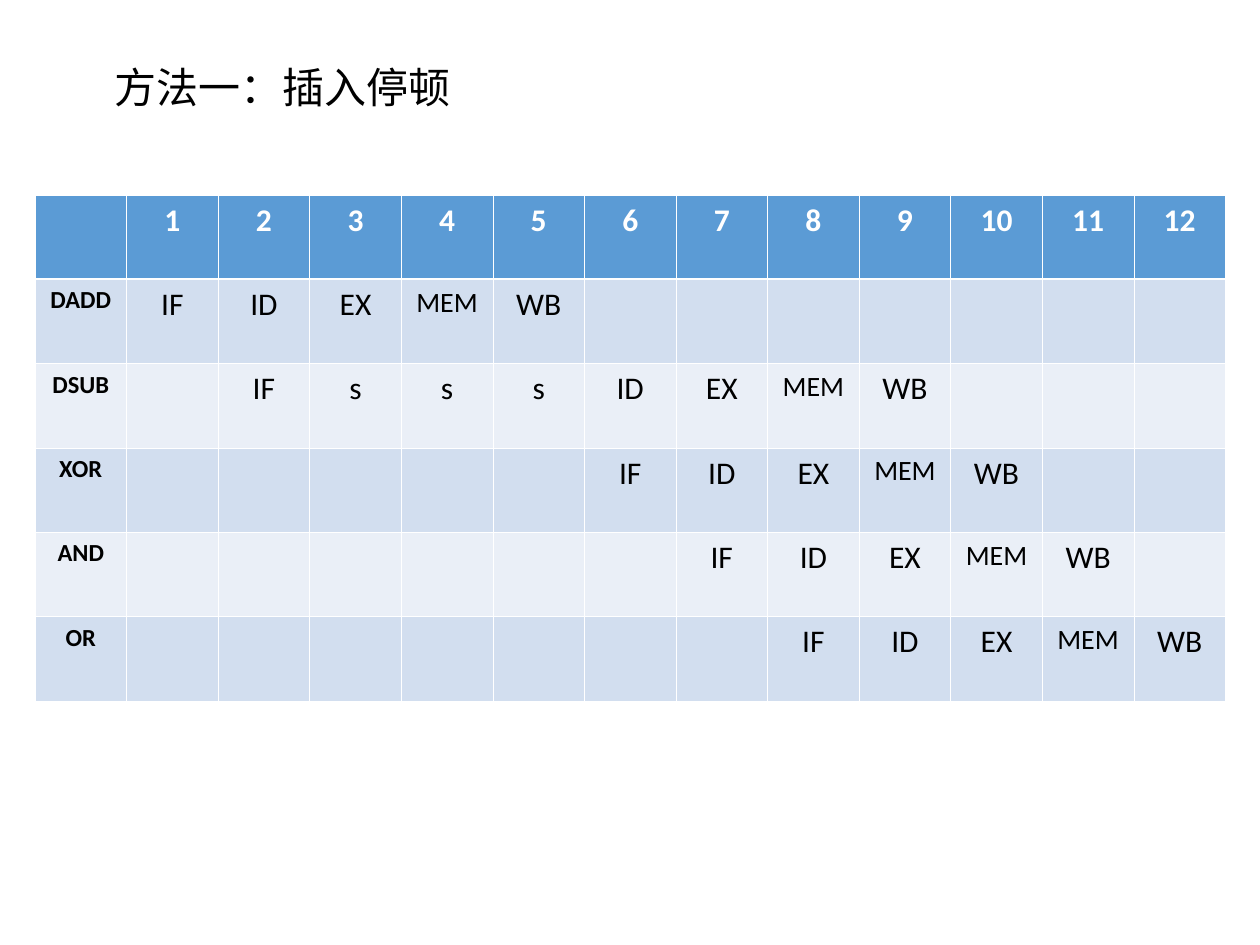
from lxml import etree
from pptx import Presentation, util as u
from pptx.dml.color import RGBColor
from pptx.enum import text
from pptx.oxml.ns import qn

PX = 914400 / 126
COLORS = {"ink": "000000", "paper": "FFFFFF", "header": "5B9BD5",
          "odd": "D2DEEF", "even": "EAEFF7"}
STAGES = ["IF", "ID", "EX", "MEM", "WB"]
CYCLES = 12
STALLED = ["IF", "s", "s", "s", *STAGES[1:]]
# Instruction, cycle in which it starts, stages it passes through
PIPELINE = [("DADD", 1, STAGES), ("DSUB", 2, STALLED), ("XOR", 6, STAGES),
            ("AND", 7, STAGES), ("OR", 8, STAGES)]


def px(value):
    return u.Emu(round(value * PX))


def color(name):
    return RGBColor.from_string(COLORS[name])


def write(para, words, size, ink="ink", bold=False):
    span = para.add_run()
    span.text = words
    for key, value in {"name": "Calibri", "size": u.Pt(size), "bold": bold}.items():
        setattr(span.font, key, value)
    span.font.color.rgb = color(ink)


def add_title(page, left, top, width, height):
    box = page.shapes.add_textbox(px(left), px(top), px(width), px(height))
    box.text_frame.word_wrap = True
    para = box.text_frame.paragraphs[0]
    para.level = 1
    para.line_spacing = 1.2
    para._p.get_or_add_pPr().set("marL", str(px(87)))
    write(para, "方法一：插入停顿", 24)


def add_borders(cell, widths):
    """Draw white cell edges; widths are points by side."""
    properties = cell._tc.get_or_add_tcPr()
    for side, width in widths.items():
        line = etree.SubElement(properties, qn(f"a:ln{side}"), w=str(u.Pt(width)))
        fill = etree.SubElement(line, qn("a:solidFill"))
        etree.SubElement(fill, qn("a:srgbClr"), val=COLORS["paper"])


def schedule_rows():
    yield [""] + [str(cycle) for cycle in range(1, CYCLES + 1)]
    for name, start, stages in PIPELINE:
        row = [name] + [""] * CYCLES
        row[start:start + len(stages)] = stages
        yield row


def add_schedule(page, left, top, width, height):
    rows = list(schedule_rows())
    frame = page.shapes.add_table(len(rows), CYCLES + 1, px(left), px(top),
                                  px(width), px(height))
    table = frame.table
    for column in table.columns:
        column.width = px(width / (CYCLES + 1))
    for line in table.rows:
        line.height = px(height / len(rows))

    for r, row in enumerate(rows):
        shade = "header" if r == 0 else "odd" if r % 2 else "even"
        edges = {"L": 0.45, "R": 0.45, "T": 1.47 if r == 1 else 0.45,
                 "B": 1.47 if r == 0 else 0.45}
        for c, words in enumerate(row):
            cell = table.cell(r, c)
            add_borders(cell, edges)
            cell.fill.solid()
            cell.fill.fore_color.rgb = color(shade)
            if not words:
                continue
            para = cell.text_frame.paragraphs[0]
            para.alignment = text.PP_ALIGN.CENTER
            size = 14 if c == 0 else 16 if words == "MEM" else 18
            write(para, words, size, "paper" if r == 0 else "ink", r == 0 or c == 0)


def main():
    deck = Presentation()
    deck.slide_width, deck.slide_height = px(1260), px(945)
    page = deck.slides.add_slide(deck.slide_layouts[6])
    add_title(page, 15, 45, 1211, 853)
    add_schedule(page, 35, 195, 1191, 506)
    deck.save("out.pptx")


if __name__ == "__main__":
    main()
